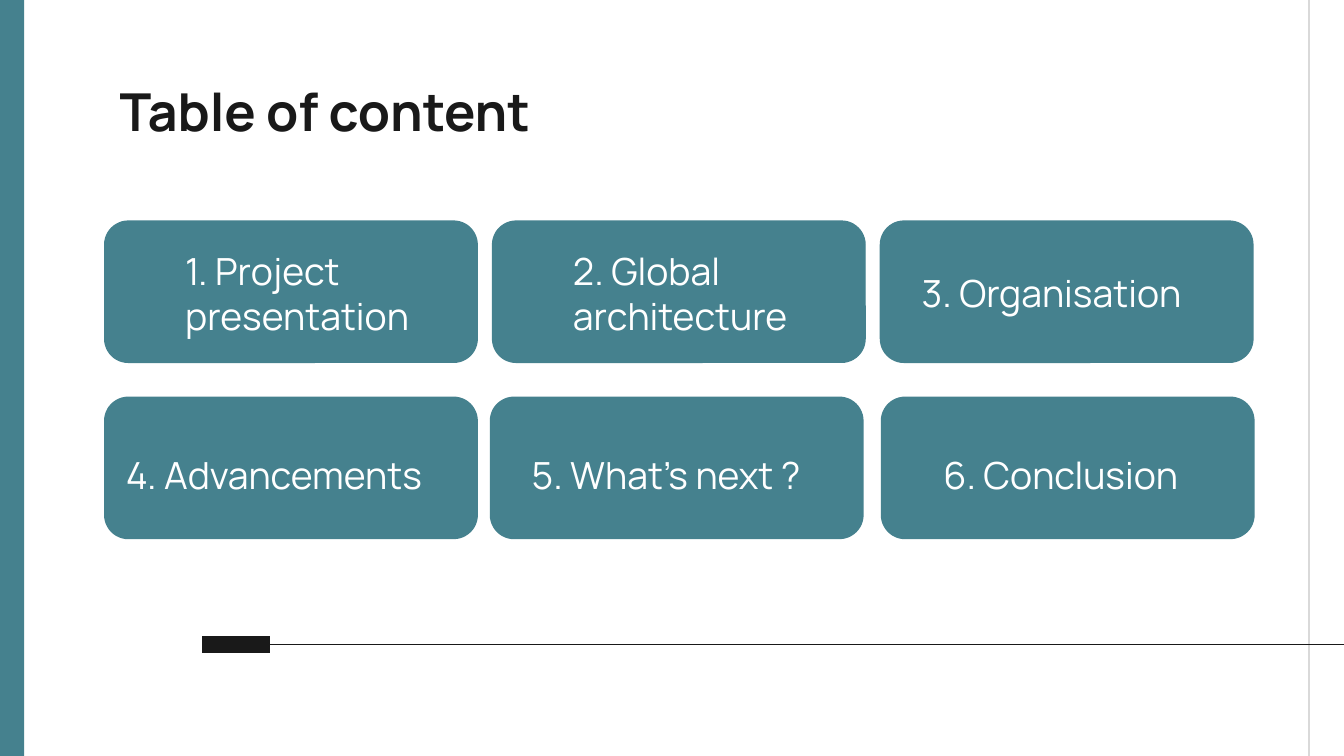
from lxml import etree
from pptx import Presentation
from pptx.dml.color import RGBColor
from pptx.enum.shapes import MSO_CONNECTOR, MSO_SHAPE
from pptx.enum.text import MSO_ANCHOR
from pptx.oxml.ns import qn
from pptx.util import Cm, Pt

TEAL = RGBColor(0x45, 0x81, 0x8E)
BLACK = RGBColor(0x19, 0x19, 0x19)
GREY = RGBColor(0xD9, 0xD9, 0xD9)
WHITE = RGBColor(0xFF, 0xFF, 0xFF)
RECTANGLE = MSO_SHAPE.RECTANGLE
ROUNDED = MSO_SHAPE.ROUNDED_RECTANGLE
STRAIGHT = MSO_CONNECTOR.STRAIGHT
TOP, BOTTOM = MSO_ANCHOR.TOP, MSO_ANCHOR.BOTTOM

FONT = "Manrope"
INSET = 0.25
INDENT = 1.27
CARD_WIDTH, CARD_HEIGHT = 7.04, 2.67

presentation = Presentation()
presentation.slide_width = Cm(25.4)
presentation.slide_height = Cm(14.29)
slide = presentation.slides.add_slide(presentation.slide_layouts[6])


def add_text(text, left, top, width, height, size=20, color=WHITE,
             bold=False, anchor=BOTTOM, indent=INDENT):
    box = slide.shapes.add_textbox(Cm(left), Cm(top), Cm(width), Cm(height))
    frame = box.text_frame
    frame.word_wrap = True
    frame.vertical_anchor = anchor
    frame.margin_left = Cm(INSET + indent)
    frame.margin_top = frame.margin_right = frame.margin_bottom = Cm(INSET)
    run = frame.paragraphs[0].add_run()
    run.text = text
    run.font.name = FONT
    run.font.size = Pt(size)
    run.font.bold = bold
    run.font.color.rgb = color


side_bar = slide.shapes.add_shape(RECTANGLE, 0, 0, Cm(0.46), presentation.slide_height)
side_bar.shadow.inherit = False
side_bar.fill.solid()
side_bar.fill.fore_color.rgb = TEAL
side_bar.line.fill.background()

lines = [
    (24.74, -0.1, 24.74, 14.38, GREY, 0.75),
    (3.82, 12.18, 5.1, 12.18, BLACK, 9),
    (5.1, 12.18, 25.73, 12.18, BLACK, 0.75),
]
for start_x, start_y, end_x, end_y, color, weight in lines:
    line = slide.shapes.add_connector(
        STRAIGHT, Cm(start_x), Cm(start_y), Cm(end_x), Cm(end_y))
    line.line.color.rgb = color
    line.line.width = Pt(weight)
    etree.SubElement(line._element.spPr, qn("a:effectLst"))

add_text("Table of content", 2.01, 1.24, 21.41, 1.6,
         size=28, color=BLACK, bold=True, anchor=TOP, indent=0)

rows = [
    (4.18, [
        (1.98, "1. Project presentation", (1.98, 4.4, 7.04, 2.24)),
        (9.31, "2. Global architecture", (9.31, 4.4, 7.04, 2.24)),
        (16.64, "3. Organisation", (15.9, 4.85, 7.47, 1.35)),
    ]),
    (7.51, [
        (1.98, "4. Advancements", (0.86, 8.05, 8.31, 1.6)),
        (9.27, "5. What’s next ?", (8.53, 8.05, 8.31, 1.6)),
        (16.66, "6. Conclusion", (16.31, 8.05, 7.9, 1.6)),
    ]),
]
for card_top, cards in rows:
    for card_left, label, label_box in cards:
        card = slide.shapes.add_shape(
            ROUNDED, Cm(card_left), Cm(card_top), Cm(CARD_WIDTH), Cm(CARD_HEIGHT))
        card.shadow.inherit = False
        card.fill.solid()
        card.fill.fore_color.rgb = TEAL
        card.line.color.rgb = TEAL
        card.line.width = Pt(0.75)
        add_text(label, *label_box)

presentation.save("out.pptx")
